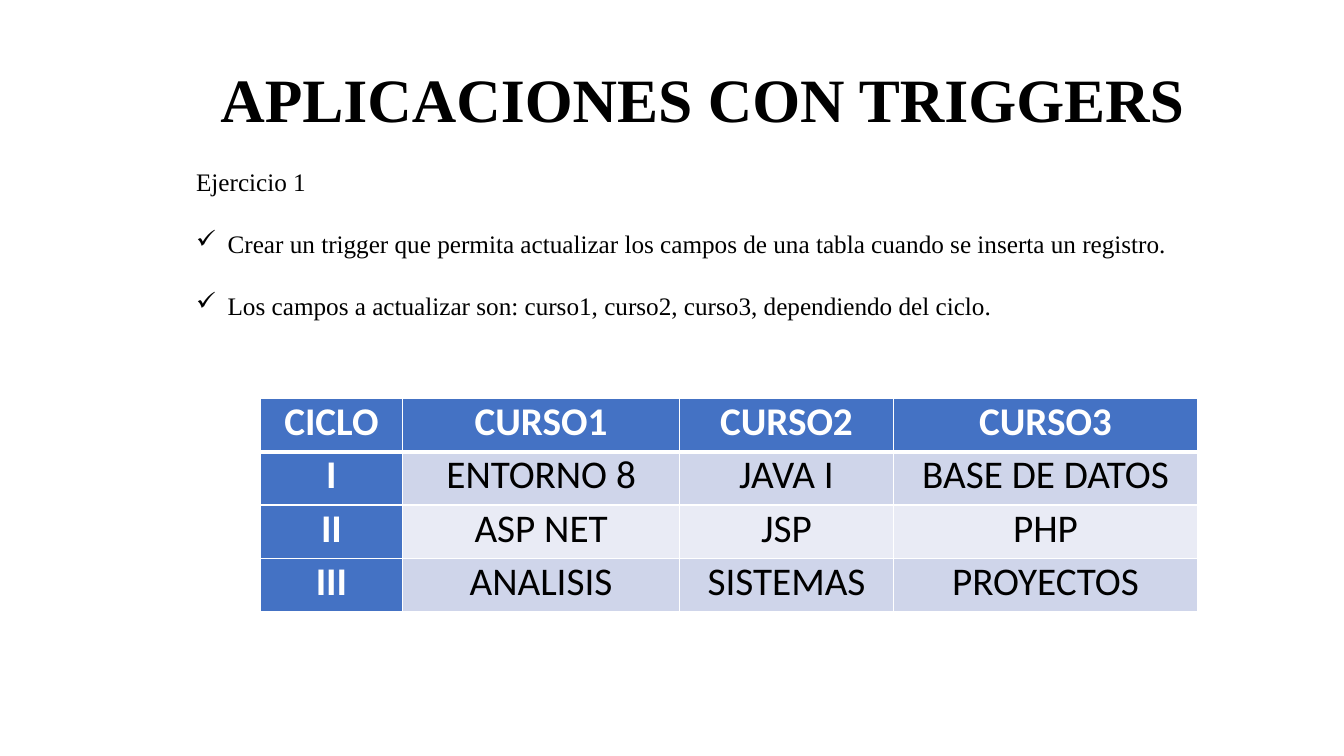
import pptx
import pptx.dml.color
import pptx.enum.text
import pptx.oxml
import pptx.oxml.ns
import pptx.util

Pt = pptx.util.Pt
ALIGN = pptx.enum.text.PP_ALIGN

TITLE = "APLICACIONES CON TRIGGERS"
EXERCISE = "Ejercicio 1"
TASKS = [
    "Crear un trigger que permita actualizar los campos de una tabla cuando se inserta un registro.",
    "Los campos a actualizar son: curso1, curso2, curso3, dependiendo del ciclo.",
]
COURSES = [
    ["CICLO", "CURSO1", "CURSO2", "CURSO3"],
    ["I", "ENTORNO 8", "JAVA I", "BASE DE DATOS"],
    ["II", "ASP NET", "JSP", "PHP"],
    ["III", "ANALISIS", "SISTEMAS", "PROYECTOS"],
]
COLUMN_WIDTHS = [101.5, 198, 152.6, 217.4]
HEADING_FILL = "4472C4"
BAND_FILLS = ["E9EBF5", "CFD5EA"]


def color(hex_string):
    return pptx.dml.color.RGBColor.from_string(hex_string)


def add_run(paragraph, text, font_name, size, hex_string, bold=False):
    run = paragraph.add_run()
    run.text = text
    run.font.name = font_name
    run.font.size = Pt(size)
    run.font.bold = bold
    run.font.color.rgb = color(hex_string)


def add_check_bullet(paragraph, indent):
    properties = paragraph._p.get_or_add_pPr()
    properties.set("marL", str(Pt(indent)))
    properties.set("indent", str(-Pt(indent)))
    bullet = pptx.oxml.ns.nsdecls("a")
    properties.append(pptx.oxml.parse_xml(f'<a:buChar {bullet} char="✓"/>'))


def add_statement(slide, left, top, width, height):
    """Place the title, the exercise label and its checked tasks."""
    frame = slide.shapes.add_textbox(Pt(left), Pt(top), Pt(width), Pt(height)).text_frame
    frame.word_wrap = True
    frame.margin_top = Pt(9)

    title = frame.paragraphs[0]
    title.alignment = ALIGN.CENTER
    add_run(title, TITLE, "Times New Roman", 44, "000000", bold=True)

    for text in [EXERCISE, *TASKS]:
        line = frame.add_paragraph()
        line.space_before = Pt(22.5)
        if text in TASKS:
            add_check_bullet(line, 22.5)
        add_run(line, text, "Times New Roman", 18, "000000")


def set_borders(cell, bottom):
    """Draw white cell borders, 1 pt wide except the bottom one."""
    properties = cell._tc.get_or_add_tcPr()
    widths = {"lnL": 1, "lnR": 1, "lnT": 1, "lnB": bottom}
    for position, (side, points) in enumerate(widths.items()):
        border = pptx.oxml.parse_xml(
            f'<a:{side} {pptx.oxml.ns.nsdecls("a")} w="{Pt(points)}">'
            f'<a:solidFill><a:srgbClr val="FFFFFF"/></a:solidFill></a:{side}>')
        properties.insert(position, border)


def add_courses(slide, left, top, width, height):
    """Place the table of courses, with its first row and column as headings."""
    table = slide.shapes.add_table(
        len(COURSES), len(COLUMN_WIDTHS), Pt(left), Pt(top), Pt(width), Pt(height)).table
    table.first_col = True
    for column, share in zip(table.columns, COLUMN_WIDTHS):
        column.width = Pt(width * share / sum(COLUMN_WIDTHS))

    for row, courses in enumerate(COURSES):
        for column, text in enumerate(courses):
            heading = row == 0 or column == 0
            cell = table.cell(row, column)
            cell.margin_left = cell.margin_right = Pt(5.4)
            cell.margin_top = cell.margin_bottom = 0
            cell.fill.solid()
            cell.fill.fore_color.rgb = color(HEADING_FILL if heading else BAND_FILLS[row % 2])
            set_borders(cell, bottom=3 if row == 0 else 1)
            paragraph = cell.text_frame.paragraphs[0]
            paragraph.alignment = ALIGN.CENTER
            add_run(paragraph, text, "Calibri", 28, "FFFFFF" if heading else "000000", heading)


def main():
    presentation = pptx.Presentation()
    presentation.slide_width = Pt(960)
    presentation.slide_height = Pt(540)
    slide = presentation.slides.add_slide(presentation.slide_layouts[6])
    add_courses(slide, 186, 284.5, 669.5, 152.6)
    add_statement(slide, 133, 34.6, 738, 191.5)
    presentation.save("out.pptx")


if __name__ == "__main__":
    main()
